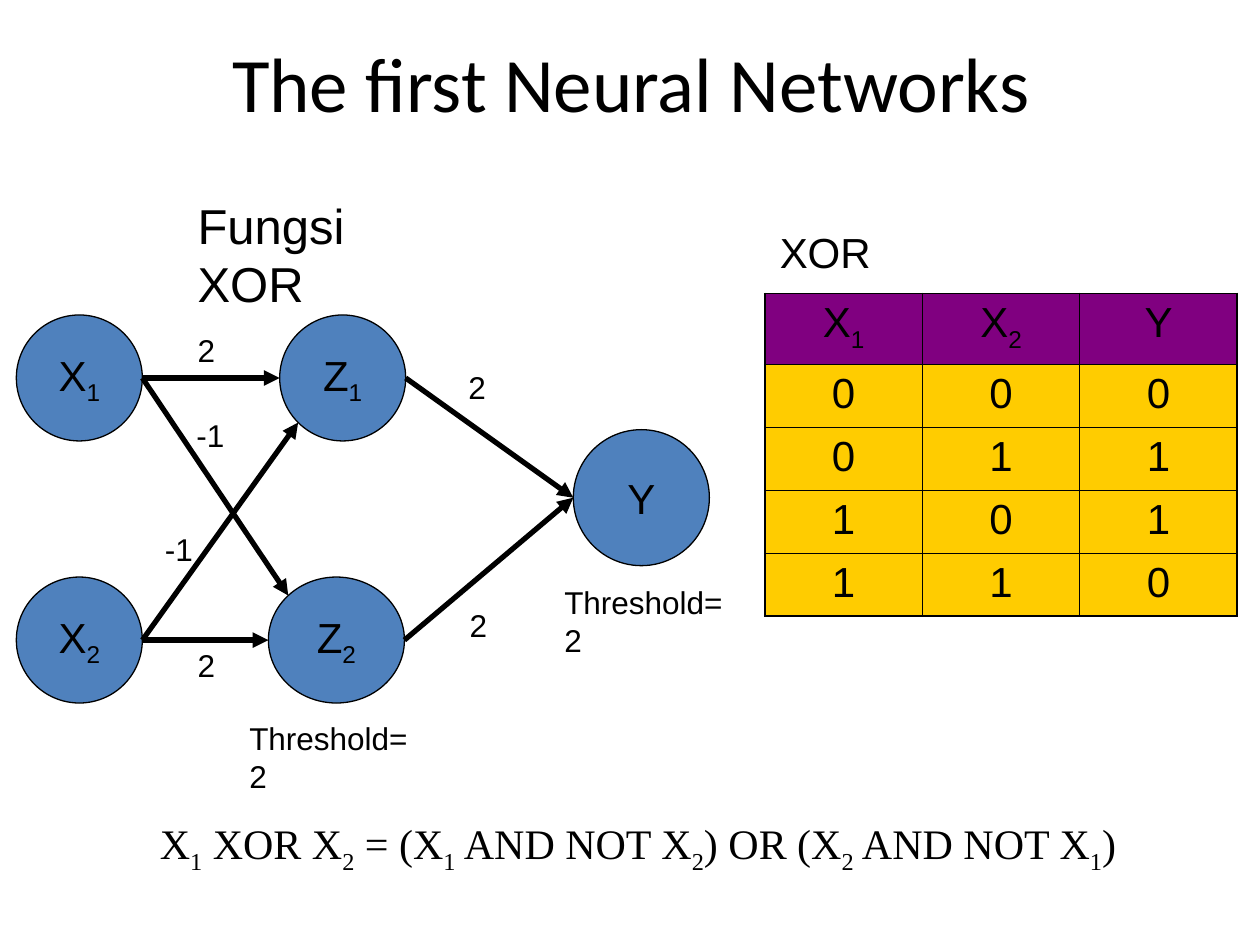
from math import sqrt

from lxml import etree
from pptx import Presentation
from pptx.dml.color import RGBColor
from pptx.enum.shapes import MSO_CONNECTOR, MSO_SHAPE
from pptx.enum.text import MSO_ANCHOR, MSO_AUTO_SIZE, PP_ALIGN
from pptx.oxml.ns import qn
from pptx.util import Inches, Pt

CENTER, LEFT = PP_ALIGN.CENTER, PP_ALIGN.LEFT
MIDDLE = MSO_ANCHOR.MIDDLE
GROW = MSO_AUTO_SIZE.SHAPE_TO_FIT_TEXT
ELLIPSE, STRAIGHT = MSO_SHAPE.OVAL, MSO_CONNECTOR.STRAIGHT

COLORS = {"ink": "000000", "node": "4F81BD", "header": "800080", "row": "FFCC00"}


def color(name):
    return RGBColor.from_string(COLORS[name])


def write(frame, text, size, font="Arial", align=LEFT):
    """Fill a frame with one paragraph; a digit after "_" becomes a subscript."""
    para = frame.paragraphs[0]
    para.alignment = align
    para.font.size, para.font.name = Pt(size), font
    para.font.color.rgb = color("ink")
    first, *rest = text.split("_")
    para.add_run().text = first
    for part in rest:
        subscript = para.add_run()
        subscript.text = part[0]
        subscript.font._element.set("baseline", "-25000")
        if part[1:]:
            para.add_run().text = part[1:]


def add_label(shapes, left, top, width, height, text, size, font="Arial", wrap=False):
    box = shapes.add_textbox(Inches(left), Inches(top), Inches(width), Inches(height))
    box.text_frame.word_wrap = wrap
    box.text_frame.auto_size = GROW
    write(box.text_frame, text, size, font)


def add_node(shapes, left, top, width, height, text):
    node = shapes.add_shape(ELLIPSE, Inches(left), Inches(top), Inches(width), Inches(height))
    node.shadow.inherit = False
    node.fill.solid()
    node.fill.fore_color.rgb = color("node")
    node.line.color.rgb = color("ink")
    node.line.width = Pt(0.75)
    node.text_frame.word_wrap = False
    node.text_frame.vertical_anchor = MIDDLE
    write(node.text_frame, text, 24, align=CENTER)


def add_arrow(shapes, start, end):
    arrow = shapes.add_connector(STRAIGHT, *(Inches(value) for value in (*start, *end)))
    arrow.line.color.rgb = color("ink")
    arrow.line.width = Pt(3)
    etree.SubElement(arrow.line._get_or_add_ln(), qn("a:tailEnd"), type="triangle")
    etree.SubElement(arrow._element.spPr, qn("a:effectLst"))


def rim_point(node, across, down):
    """Point on a node's rim, in the direction given by -1, 0 or 1 on each axis."""
    left, top, width, height = node
    reach = 0.5 / sqrt(across ** 2 + down ** 2)
    return left + width * (0.5 + across * reach), top + height * (0.5 + down * reach)


def build_title(page):
    title = page.shapes.title
    title.left, title.top = Inches(0.02), Inches(0.02)
    title.width, title.height = Inches(9.98), Inches(1.25)
    title.text_frame.vertical_anchor = MIDDLE
    write(title.text_frame, "The first Neural Networks", 44, "Calibri", CENTER)


def build_network(page, left, top):
    shapes = page.shapes.add_group_shape().shapes
    input_row, output_row = top + 1, top + 3.08
    nodes = {
        "X_1": (left, input_row, 1, 1),
        "X_2": (left, output_row, 1, 1),
        "Z_1": (left + 2.09, input_row, 1, 1),
        "Z_2": (left + 2, output_row, 1.08, 1),
        "Y": (left + 4.42, top + 1.91, 1.08, 1.08),
    }
    for name, place in nodes.items():
        add_node(shapes, *place, name)

    # Each arrow leaves on the right; the last pair is the side it arrives at
    for source, target, side in (
        ("X_1", "Z_1", (-1, 0)), ("X_2", "Z_2", (-1, 0)),
        ("X_1", "Z_2", (-1, -1)), ("X_2", "Z_1", (-1, 1)),
        ("Z_1", "Y", (-1, 0)), ("Z_2", "Y", (-1, 0)),
    ):
        add_arrow(shapes, rim_point(nodes[source], 1, 0), rim_point(nodes[target], *side))

    # Weights and thresholds
    for x, y, width, text in (
        (1.34, 1.08, 0.34, "2"), (1.34, 3.58, 0.34, "2"),
        (1.33, 1.75, 0.42, "-1"), (1.08, 2.66, 0.42, "-1"),
        (3.49, 1.37, 0.34, "2"), (3.5, 3.26, 0.34, "2"),
        (4.25, 3.08, 1.59, "Threshold=2"), (1.75, 4.16, 1.59, "Threshold=2"),
    ):
        add_label(shapes, left + x, top + y, width, 0.4, text, 18)
    add_label(shapes, left + 1.34, top, 2.31, 0.57, "Fungsi XOR", 28)


def set_borders(cell, outer_sides):
    """Thick lines on the table's outer sides, thin ones inside."""
    properties = cell._tc.get_or_add_tcPr()
    for side in "LRTB":
        width = Pt(1.08 if side in outer_sides else 0.45)
        line = etree.SubElement(properties, qn(f"a:ln{side}"), w=str(width))
        fill = etree.SubElement(line, qn("a:solidFill"))
        etree.SubElement(fill, qn("a:srgbClr"), val=COLORS["ink"])


def build_truth_table(page, left, top):
    add_label(page.shapes, left + 0.02, top, 0.92, 0.5, "XOR", 24)
    rows = [("X_1", "X_2", "Y")]
    rows += [(str(a), str(b), str(a ^ b)) for a in (0, 1) for b in (0, 1)]
    table = page.shapes.add_table(len(rows), 3, Inches(left), Inches(top + 0.58),
                                  Inches(3.75), Inches(2.56)).table
    for column in table.columns:
        column.width = Inches(1.25)
    for row_index, values in enumerate(rows):
        table.rows[row_index].height = Inches(0.5 if row_index else 0.56)
        for column_index, value in enumerate(values):
            cell = table.cell(row_index, column_index)
            outer_sides = {0: "L", 2: "R"}.get(column_index, "")
            outer_sides += {0: "T", len(rows) - 1: "B"}.get(row_index, "")
            set_borders(cell, outer_sides)
            cell.fill.solid()
            cell.fill.fore_color.rgb = color("row" if row_index else "header")
            write(cell.text_frame, value, 24, align=CENTER)


def build_formula(page, left, top):
    formula = "X_1 XOR X_2 = (X_1 AND NOT X_2) OR (X_2 AND NOT X_1)"
    add_label(page.shapes, left, top, 7.94, 0.56, formula, 24, "Times New Roman", wrap=True)


def main():
    deck = Presentation()
    deck.slide_width, deck.slide_height = Inches(10), Inches(7.5)
    page = deck.slides.add_slide(deck.slide_layouts[5])
    build_title(page)
    build_truth_table(page, 6.07, 1.75)
    build_formula(page, 1.17, 6.44)
    build_network(page, 0.13, 1.5)
    deck.save("out.pptx")


if __name__ == "__main__":
    main()
